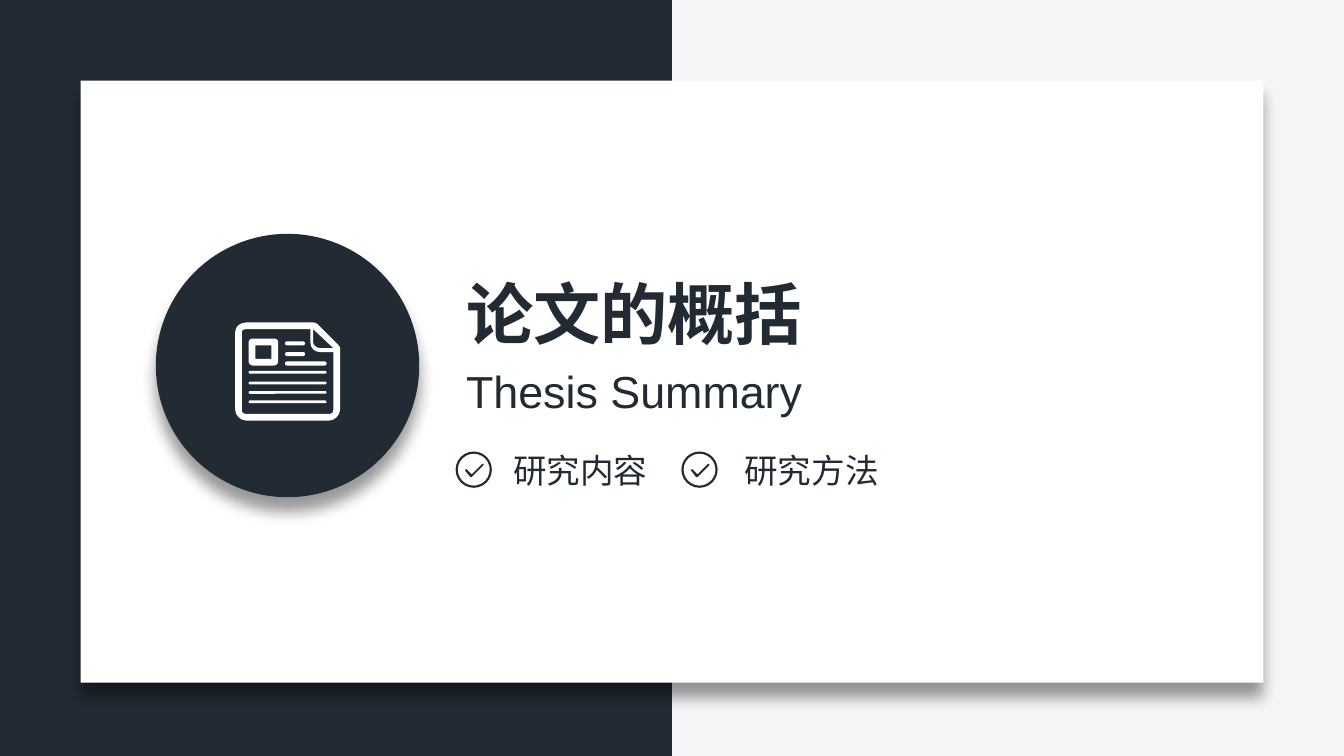
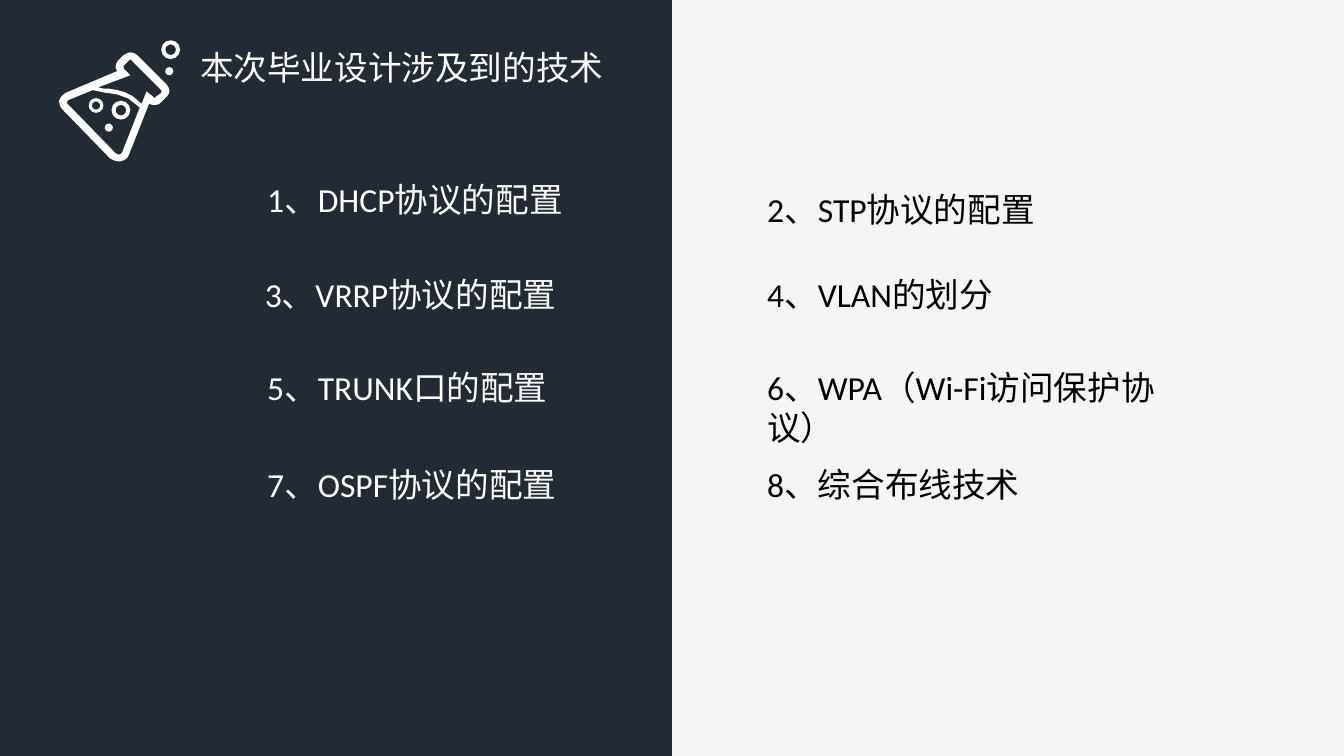
"""Build a section cover and a list of techniques on a two-tone ground."""
from lxml import etree
from pptx import Presentation
from pptx import util as u
from pptx.dml.color import RGBColor
from pptx.enum import shapes, text
from pptx.oxml import ns

PX = 9144
WIDE, HALF = 1000, 500
NAVY = RGBColor(0x22, 0x2B, 0x34)
PALE = RGBColor(0xF6, 0xF4, 0xF7)
WHITE = RGBColor(255, 255, 255)
BLACK = RGBColor(0, 0, 0)
CJK, LATIN, BODY = "Noto Sans CJK SC", "Arial", "Calibri"
RECT = shapes.MSO_SHAPE.RECTANGLE
OVAL = shapes.MSO_SHAPE.OVAL
RING = shapes.MSO_SHAPE.DONUT
PILL = shapes.MSO_SHAPE.ROUNDED_RECTANGLE

TITLE = "论文的概括"
SUB = "Thesis Summary"
TOPICS = [("研究内容", 339, 372), ("研究方法", 507, 544)]
HEAD = "本次毕业设计涉及到的技术"
ROWS = [
    (("1、DHCP协议的配置", 189, 128, 327), ("2、STP协议的配置", 561, 136, 235)),
    (("3、VRRP协议的配置", 83, 199, 445), ("4、VLAN的划分", 561, 199, 280)),
    (("5、TRUNK口的配置", 189, 268, 277), ("6、WPA（Wi-Fi访问保护协议）", 561, 268, 335)),
    (("7、OSPF协议的配置", 189, 340, 277), ("8、综合布线技术", 561, 340, 382)),
]

TICK = "M 7 14 L 8 13 L 12 17 L 20 9 L 21 10 L 12 19 L 11 19 Z"
PAGE = (
    "M 241 259 L 238 259 C 236 259 233 257 233 255 L 233 245 L 248 259 Z "
    "M 248 305 C 248 307 247 308 245 308 L 183 308 C 181 308 180 307 180 305 "
    "L 180 247 C 180 246 181 245 183 245 L 231 245 L 231 255 "
    "C 231 259 234 262 238 262 L 248 262 Z "
    "M 251 256 L 237 242 C 236 241 235 240 233 240 L 183 240 "
    "C 179 240 175 243 175 247 L 175 305 C 175 309 179 313 183 313 "
    "L 245 313 C 249 313 253 309 253 305 L 253 259 C 253 258 252 257 251 256 Z"
)
PHOTO = (
    "M 190 257 L 202 257 L 202 267 L 190 267 Z "
    "M 188 272 L 204 272 C 206 272 207 270 207 269 L 207 255 "
    "C 207 253 206 252 204 252 L 188 252 C 186 252 185 253 185 255 "
    "L 185 269 C 185 270 186 272 188 272 Z"
)
LINES = [(212, 254, 15, 3), (212, 262, 15, 3), (212, 269, 31, 3)]
LINES += [(185, y, 58, 2) for y in (276, 284, 291, 298)]
FLASK = (
    "M 120 69 L 116 72 C 115 73 114 73 114 72 L 109 68 L 105 78 L 105 77 "
    "C 97 68 88 67 81 66 C 78 66 76 66 73 65 L 97 56 L 92 51 "
    "C 92 50 92 49 92 49 L 96 45 C 97 44 98 44 98 45 L 120 67 "
    "C 120 67 120 68 120 69 Z "
    "M 91 113 C 91 114 90 115 88 115 C 87 115 87 114 86 114 L 51 78 "
    "C 50 78 50 77 50 76 C 50 75 51 74 52 74 L 69 67 "
    "C 81 71 92 67 104 80 Z "
    "M 102 41 C 101 40 99 39 97 39 C 95 39 94 40 92 41 L 88 45 "
    "C 87 46 86 48 86 50 C 86 51 87 52 87 53 L 49 69 "
    "C 47 70 45 72 44 75 C 44 78 45 80 47 82 L 82 118 "
    "C 84 119 86 120 88 120 C 89 120 89 120 90 120 "
    "C 93 119 95 118 96 115 L 111 77 C 112 78 113 78 115 78 "
    "C 117 78 118 78 120 76 L 124 72 C 125 71 126 69 126 68 "
    "C 126 66 125 64 124 63 Z"
)
RINGS = [(83, 75, 14), (120, 30, 14), (66, 73, 11)]
DOTS = [(78, 92, 6), (123, 50, 6)]


def paint(shape, color):
    """Give a shape a flat fill with no line or shadow."""
    shape.shadow.inherit = False
    shape.fill.solid()
    shape.fill.fore_color.rgb = color
    shape.line.fill.background()
    return shape


def draw(slide, kind, box, color, adj=None):
    """Add a flat preset shape."""
    shape = slide.shapes.add_shape(kind, *(v * PX for v in box))
    if adj is not None:
        shape.adjustments[0] = adj
    return paint(shape, color)


def shade(shape):
    """Drop a soft shadow below a shape."""
    fx = shape._element.spPr.find(ns.qn("a:effectLst"))
    drop = etree.SubElement(fx, ns.qn("a:outerShdw"), blurRad=str(u.Pt(8)),
                            dist=str(u.Pt(8)), dir="5400000", rotWithShape="0")
    tone = etree.SubElement(drop, ns.qn("a:srgbClr"), val="000000")
    etree.SubElement(tone, ns.qn("a:alpha"), val="40000")


def trace(path):
    """Turn path text into lists of points, with curves cut into steps."""
    loops = []
    for part in path.replace("Z", "").split("M")[1:]:
        words, pts = ("L" + part).split("C"), []
        for n, word in enumerate(words):
            first, *rest = word.replace("L", " ").split("  ")
            nums = [int(v) for v in " ".join([first, *rest]).split()]
            pairs = list(zip(nums[::2], nums[1::2]))
            if n:
                ctrl = [pts[-1], *pairs[:3]]
                for t in (0.25, 0.5, 0.75, 1):
                    s = 1 - t
                    mix = (s ** 3, 3 * s * s * t, 3 * s * t * t, t ** 3)
                    pts.append(tuple(sum(m * c[k] for m, c in zip(mix, ctrl))
                                     for k in (0, 1)))
                pairs = pairs[3:]
            pts += pairs
        loops.append(pts)
    return loops


def sketch(slide, path, color, dx=0, dy=0):
    """Add a filled outline."""
    loops = [[((x + dx) * PX, (y + dy) * PX) for x, y in loop]
             for loop in trace(path)]
    pen = slide.shapes.build_freeform(*loops[0][0])
    for n, loop in enumerate(loops):
        if n:
            pen.move_to(*loop[0])
        pen.add_line_segments(loop[1:], close=True)
    paint(pen.convert_to_shape(), color)


def write(slide, words, box, size=18, font=BODY, color=NAVY, bold=False,
          wrap=True, align=text.PP_ALIGN.LEFT):
    """Add a text box."""
    frame = slide.shapes.add_textbox(*(v * PX for v in box)).text_frame
    frame.word_wrap = wrap
    frame.auto_size = text.MSO_AUTO_SIZE.SHAPE_TO_FIT_TEXT
    para = frame.paragraphs[0]
    para.alignment = align
    run = para.add_run()
    run.text = words
    run.font.size = u.Pt(size)
    run.font.name = font
    run.font.bold = bold
    run.font.color.rgb = color
    etree.SubElement(run._r.rPr, ns.qn("a:ea"), typeface=CJK)


def start(prs):
    """Add a slide with a pale ground and a dark left half."""
    slide = prs.slides.add_slide(prs.slide_layouts[6])
    slide.background.fill.solid()
    slide.background.fill.fore_color.rgb = PALE
    band = draw(slide, RECT, (0, 0, HALF, HALF), NAVY)
    band.height = prs.slide_height
    return slide


def cover(prs):
    """Build the section cover."""
    slide = start(prs)
    shade(draw(slide, RECT, (60, 60, 880, 448), WHITE))
    shade(draw(slide, OVAL, (116, 174, 196, 196), NAVY))
    write(slide, TITLE, (337, 198, 273, 71), size=36, font=CJK, bold=True,
          wrap=False)
    write(slide, SUB, (337, 266, 273, 50), size=24, font=LATIN, wrap=False)
    for words, mark, left in TOPICS:
        draw(slide, RING, (mark, 336, 27, 27), NAVY, adj=0.06)
        sketch(slide, TICK, NAVY, dx=mark, dy=336)
        write(slide, words, (left, 330, 120, 40), font=CJK, wrap=False)
    sketch(slide, PAGE, WHITE)
    sketch(slide, PHOTO, WHITE)
    for box in LINES:
        draw(slide, PILL, box, WHITE, adj=0.5)


def skills(prs):
    """Build the list of techniques."""
    slide = start(prs)
    write(slide, HEAD, (139, 30, 390, 40), color=WHITE)
    sketch(slide, FLASK, WHITE)
    for x, y, size in RINGS:
        draw(slide, RING, (x, y, size, size), WHITE, adj=0.22)
    for x, y, size in DOTS:
        draw(slide, OVAL, (x, y, size, size), WHITE)
    for n, row in enumerate(ROWS):
        for (words, x, y, wide), color in zip(row, (WHITE, BLACK)):
            mid = n == 1 and color == WHITE
            align = text.PP_ALIGN.CENTER if mid else text.PP_ALIGN.LEFT
            write(slide, words, (x, y, wide, 40), color=color, align=align)


def main():
    """Save both slides."""
    prs = Presentation()
    prs.slide_width = WIDE * PX
    prs.slide_height = WIDE * PX * 9 // 16
    cover(prs)
    skills(prs)
    prs.save("out.pptx")


if __name__ == "__main__":
    main()
